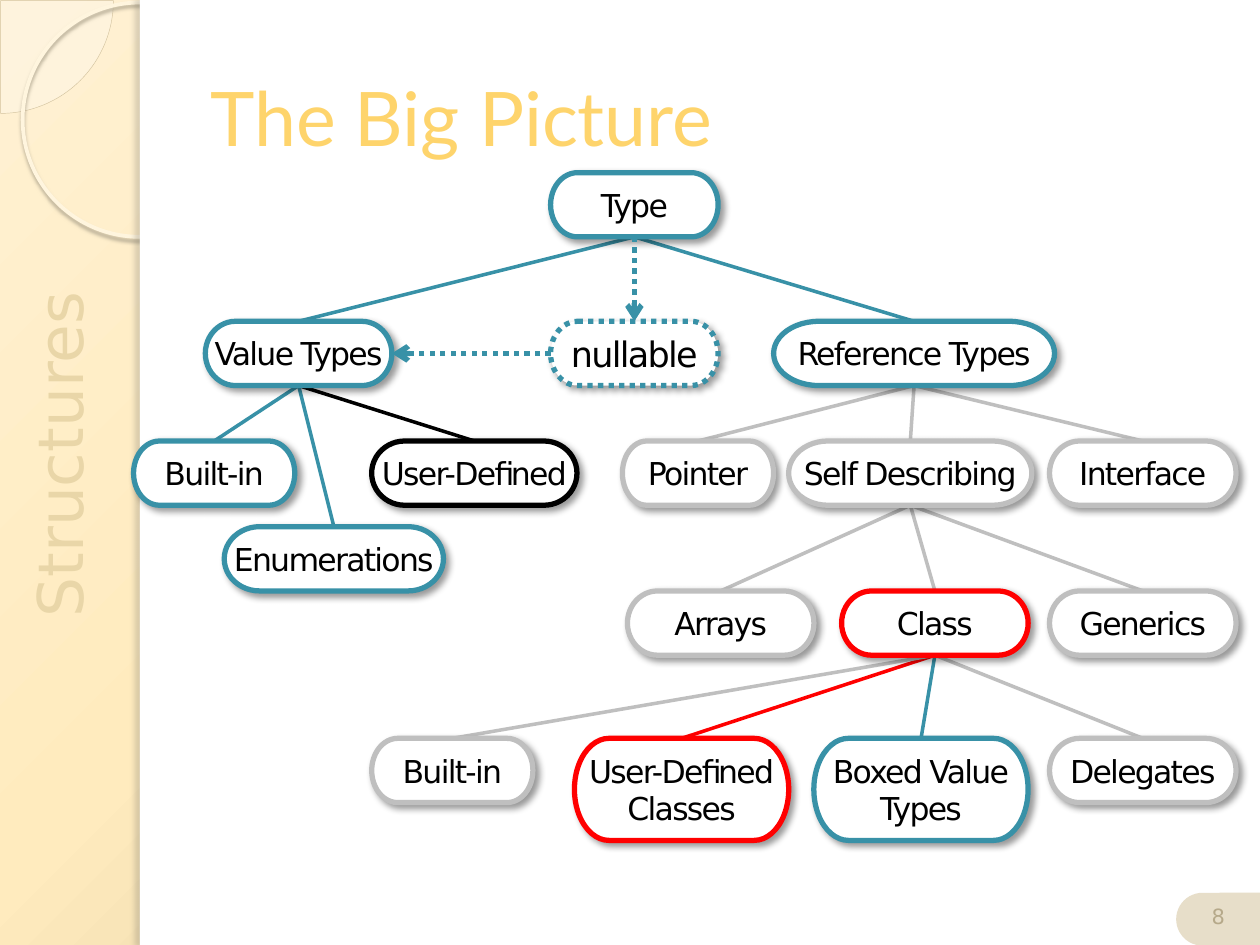
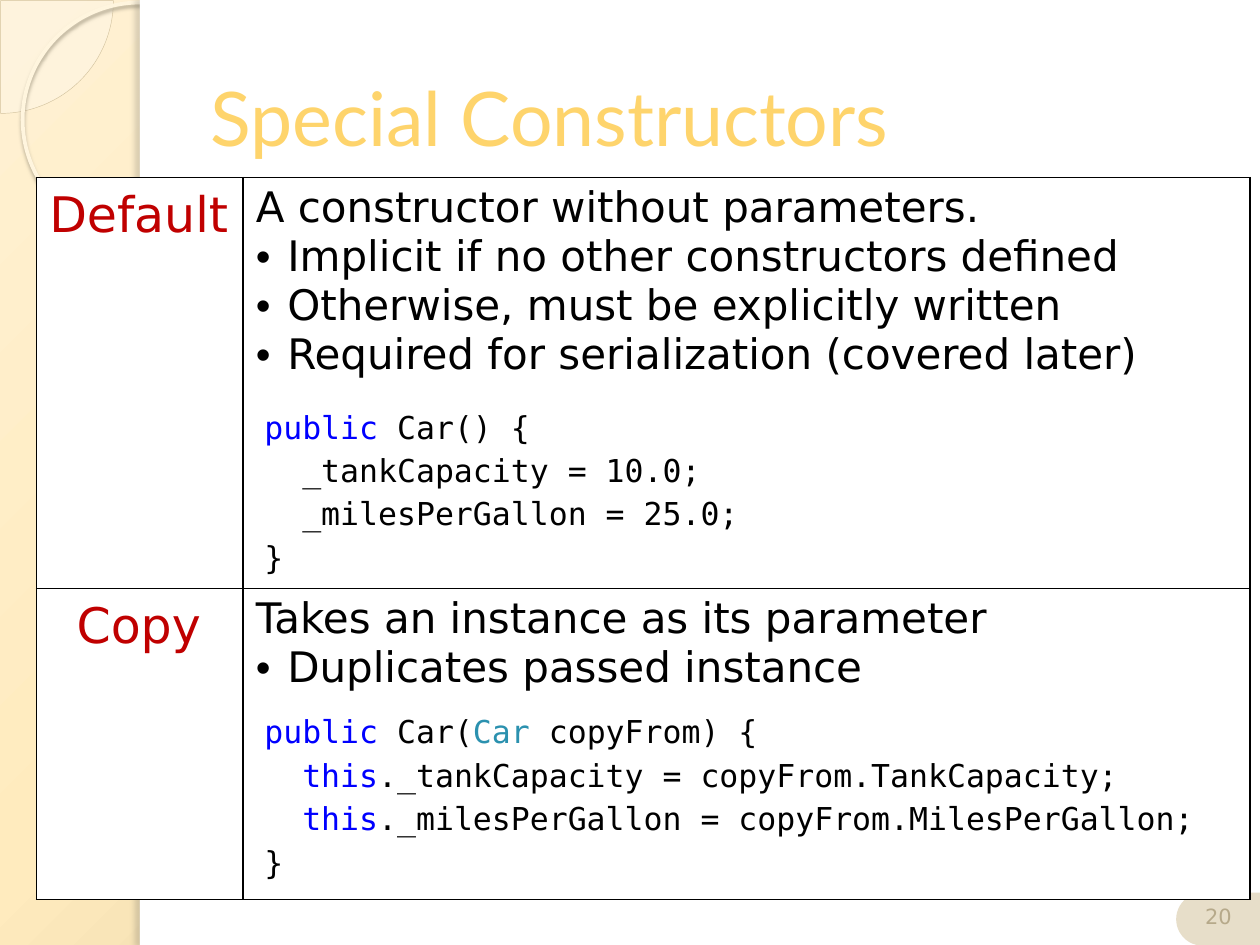
from lxml.etree import SubElement as Sub
from pptx import Presentation
from pptx.dml.color import RGBColor as Rgb
from pptx.enum.dml import MSO_LINE as Dash
from pptx.enum.shapes import MSO_CONNECTOR as Link, MSO_SHAPE as Kind
from pptx.enum.text import MSO_ANCHOR as Anchor, PP_ALIGN as Align
from pptx.oxml import parse_xml
from pptx.oxml.ns import nsdecls, qn
from pptx.util import Inches, Pt

HUES = dict(
    white="FFFFFF", black="000000", teal="3891A7", gray="BFBFBF", red="FF0000",
    gold="FED46C", sand="E7DEC9", cream="FEFAF4", tan="D3C39F", ring="FFF5DE",
    side="E9D6A8", page="B6A98A", brick="C00000", blue="0000FF", aqua="2B91AF",
    dusk="B0A68F", dim="736F63",
)
SANS, MONO, HEAD = "DejaVu Sans", "DejaVu Sans Mono", "Lato"


def dress(shape, fill=None, edge=None, wide=1, cast=None):
    if fill:
        shape.fill.solid()
        shape.fill.fore_color.rgb = Rgb.from_string(HUES[fill])
    else:
        shape.fill.background()
    if edge:
        shape.line.color.rgb = Rgb.from_string(HUES[edge])
        shape.line.width = Pt(wide)
    else:
        shape.line.fill.background()
    shape.shadow.inherit = False
    if cast:
        hue, alpha, blur, dist, turn = cast
        glow = Sub(shape._element.spPr.find(qn("a:effectLst")), qn("a:outerShdw"),
                   blurRad=str(Pt(blur)), dist=str(Pt(dist)),
                   dir=str(turn * 60000), algn="ctr", rotWithShape="0")
        tone = Sub(glow, qn("a:srgbClr"), val=HUES[hue])
        Sub(tone, qn("a:alpha"), val=str(alpha * 1000))


def write(frame, lines, font, size, para=None, body=None):
    for key, val in (body or {}).items():
        setattr(frame, key, val)
    for i, line in enumerate(lines):
        par = frame.add_paragraph() if i else frame.paragraphs[0]
        for key, val in (para or {}).items():
            setattr(par, key, val)
        for text, hue in line:
            run = par.add_run()
            run.text = text
            for key, val in dict(name=font, size=Pt(size)).items():
                setattr(run.font, key, val)
            run.font.color.rgb = Rgb.from_string(HUES[hue])


deck = Presentation()
deck.slide_width, deck.slide_height = Inches(10), Inches(7.5)
back = deck.slide_master.background
back.fill.solid()
prop = deck.slide_master.element.find(".//" + qn("p:bgPr"))
stops = "".join(f'<a:gs pos="{pos}000"><a:srgbClr val="{hue}"/></a:gs>'
                for pos, hue in [(0, "FFF1D3"), (40, "FFEBBE"), (100, "C9B484")])
prop.replace(prop[0], parse_xml(
    f'<a:gradFill {nsdecls("a")} rotWithShape="1"><a:gsLst>{stops}</a:gsLst>'
    '<a:path path="circle"><a:fillToRect l="-24000" t="-20000" r="124000" b="120000"/>'
    '</a:path></a:gradFill>'))

base = deck.slide_layouts[5]
tree, right = deck.slides.add_slide(base), deck.slides.add_slide(base)

decor = [
    (Kind.PIE, (-0.89, -0.89, 1.79, 1.79), ("cream", "tan", 0.25), [0, 54.02], 0),
    (Kind.OVAL, (0.18, 0.02, 1.86, 1.86), (None, "ring", 2.15, ("dusk", 85, 2, 2, 90)), [], 0),
    (Kind.RECTANGLE, (1.11, 0, 8.89, 7.5), ("white",), [], 0),
    (Kind.RECTANGLE, (1.11, 0, 0.08, 7.5), ("white", None, 1, ("dim", 25, 3, 3, 180)), [], 0),
    (Kind.ROUND_2_SAME_RECTANGLE, (9.46, 6.96, 0.42, 0.67), ("sand",), [0.5, 0], 270),
]
parts = []
for kind, at, look, bends, turn in decor:
    part = tree.shapes.add_shape(kind, *map(Inches, at))
    dress(part, *look)
    for i, bend in enumerate(bends):
        part.adjustments[i] = bend
    part.rotation = turn
    parts.append(part)
tint = parts[0]._element.spPr.find(qn("a:solidFill"))[0]
Sub(tint, qn("a:alpha"), val="33000")
side = tree.shapes.add_textbox(*map(Inches, (0.23, 0, 0.69, 5)))
write(side.text_frame, [[("Structures", "side")]], SANS, 36,
      dict(line_spacing=Pt(35)), dict(word_wrap=True))
side.text_frame._txBody.bodyPr.set("vert", "vert270")
for i, part in enumerate(parts + [side]):
    part._element.nvSpPr.cNvPr.set("id", str(20 + i))
    base.shapes._spTree.append(part._element)

for slide, name, page in [(tree, "The Big Picture", "8"), (right, "Special Constructors", "20")]:
    title = slide.shapes.title
    for key, val in zip(("left", "top", "width", "height"), (1.57, 0.3, 8.2, 1.25)):
        setattr(title, key, Inches(val))
    write(title.text_frame, [[(name, "gold")]], HEAD, 43,
          dict(alignment=Align.LEFT), dict(vertical_anchor=Anchor.MIDDLE))
    foot = slide.shapes.add_textbox(*map(Inches, (9.42, 6.9, 0.5, 0.52)))
    write(foot.text_frame, [[(page, "page")]], SANS, 12, dict(alignment=Align.CENTER),
          dict(word_wrap=True, vertical_anchor=Anchor.BOTTOM))

ROWS = [1.37, 2.55, 3.5, 4.18, 4.69, 5.86]
ONE, TWO = 0.51, 0.81
nodes = [
    ("type", "Type", 4.37, 1.33, 0, ONE, "teal"),
    ("value", "Value Types", 1.63, 1.48, 1, ONE, "teal"),
    ("ref", "Reference Types", 6.14, 2.23, 1, ONE, "teal"),
    ("plain", "Built-in", 1.06, 1.28, 2, ONE, "teal"),
    ("user", "User-Defined", 2.95, 1.63, 2, ONE, "black"),
    ("enum", "Enumerations", 1.78, 1.74, 3, ONE, "teal"),
    ("face", "Interface", 8.33, 1.48, 2, ONE, "gray"),
    ("point", "Pointer", 4.94, 1.2, 2, ONE, "gray"),
    ("self", "Self Describing", 6.26, 1.93, 2, ONE, "gray"),
    ("gen", "Generics", 8.33, 1.48, 4, ONE, "gray"),
    ("array", "Arrays", 4.98, 1.48, 4, ONE, "gray"),
    ("class", "Class", 6.68, 1.48, 4, ONE, "red"),
    ("own", "User-Defined\nClasses", 4.56, 1.7, 5, TWO, "red"),
    ("del", "Delegates", 8.33, 1.48, 5, ONE, "gray"),
    ("box", "Boxed Value\nTypes", 6.46, 1.7, 5, TWO, "teal"),
    ("stock", "Built-in", 2.95, 1.28, 5, ONE, "gray"),
    ("null", "nullable", 4.37, 1.33, 1, ONE, "teal"),
]
made = {}
for key, text, left, wide, row, high, hue in nodes:
    node = tree.shapes.add_shape(Kind.FLOWCHART_TERMINATOR,
                                 *map(Inches, (left, ROWS[row], wide, high)))
    dress(node, "white", hue, 3, ("black", 40, 4, 3, 45))
    write(node.text_frame, [[(line, "black")] for line in text.split("\n")], SANS,
          20 if key == "null" else 18, dict(alignment=Align.CENTER),
          dict(word_wrap=False, vertical_anchor=Anchor.MIDDLE))
    for par in node.text_frame.paragraphs:
        par.runs[0].font._element.set("spc", "-100")
    made[key] = node
made["null"].line.dash_style = Dash.ROUND_DOT

links = [
    ("type", "value", "teal"), ("type", "ref", "teal"), ("value", "plain", "teal"),
    ("value", "user", "black"), ("value", "enum", "teal"), ("ref", "point", "gray"),
    ("ref", "face", "gray"), ("ref", "self", "gray"), ("self", "array", "gray"),
    ("class", "own", "red"), ("self", "gen", "gray"), ("self", "class", "gray"),
    ("class", "box", "teal"), ("class", "del", "gray"), ("class", "stock", "gray"),
    ("type", "null", "teal"), ("null", "value", "teal"),
]
for start, end, hue in links:
    link = tree.shapes.add_connector(Link.STRAIGHT, 0, 0, 0, 0)
    exit, entry = (1, 3) if start == "null" else (2, 0)
    link.begin_connect(made[start], exit)
    link.end_connect(made[end], entry)
    dots = "null" in (start, end)
    link.line.color.rgb = Rgb.from_string(HUES[hue])
    link.line.width = Pt(3 if dots else 2)
    if dots:
        link.line.dash_style = Dash.ROUND_DOT
        Sub(link.line._get_or_add_ln(), qn("a:tailEnd"), type="arrow")
    else:
        made["type"]._element.addprevious(link._element)
    Sub(link._element.spPr, qn("a:effectLst"))

facts = [
    ["A constructor without parameters.", "Implicit if no other constructors defined",
     "Otherwise, must be explicitly written", "Required for serialization (covered later)"],
    ["Takes an instance as its parameter", "Duplicates passed instance"],
]
grid = right.shapes.add_table(2, 2, *map(Inches, (0.29, 1.41, 9.63, 5.73))).table
grid.first_row = grid.horz_banding = False
for col, wide in zip(grid.columns, (1.64, 7.99)):
    col.width = Inches(wide)
for row, high in zip(grid.rows, (3.26, 2.47)):
    row.height = Inches(high)
for cell in grid.iter_cells():
    prop = cell._tc.get_or_add_tcPr()
    for edge in ("lnL", "lnR", "lnT", "lnB"):
        line = Sub(prop, qn("a:" + edge), w=str(Pt(1)))
        Sub(Sub(line, qn("a:solidFill")), qn("a:srgbClr"), val=HUES["black"])
    cell.fill.solid()
    cell.fill.fore_color.rgb = Rgb.from_string(HUES["white"])
for i, lines in enumerate(facts):
    frame = grid.cell(i, 1).text_frame
    write(frame, [[(line, "black")] for line in lines], SANS, 24)
    for j, par in enumerate(frame.paragraphs):
        prop = par._p.get_or_add_pPr()
        prop.set("marL", str(Inches(0.25)))
        prop.set("indent", str(-Inches(0.25)))
        if j:
            Sub(prop, qn("a:buFont"), typeface="Arial")
            Sub(prop, qn("a:buChar"), char="•")

for text, top in [("Default", 1.41), ("Copy", 4.67)]:
    label = right.shapes.add_textbox(*map(Inches, (0.29, top, 1.62, 0.57)))
    write(label.text_frame, [[(text, "brick")]], SANS, 28,
          dict(alignment=Align.CENTER), dict(word_wrap=text == "Copy"))

codes = [
    (3.14, 6.94, [
        [("public", "blue"), (" Car() {", "black")],
        [("  _tankCapacity = 10.0;", "black")],
        [("  _milesPerGallon = 25.0;", "black")],
        [("}", "black")]]),
    (5.56, 7.67, [
        [("public", "blue"), (" Car(", "black"), ("Car ", "aqua"), ("copyFrom) {", "black")],
        [("  this", "blue"), ("._tankCapacity = copyFrom.TankCapacity;", "black")],
        [("  this", "blue"), ("._milesPerGallon = copyFrom.MilesPerGallon;", "black")],
        [("}", "black")]]),
]
for top, wide, lines in codes:
    code = right.shapes.add_shape(Kind.RECTANGLE, *map(Inches, (2, top, wide, 1.49)))
    dress(code, "white")
    write(code.text_frame, lines, MONO, 18, dict(alignment=Align.LEFT, line_spacing=1.15),
          dict(word_wrap=True, vertical_anchor=Anchor.TOP))

deck.save("out.pptx")
